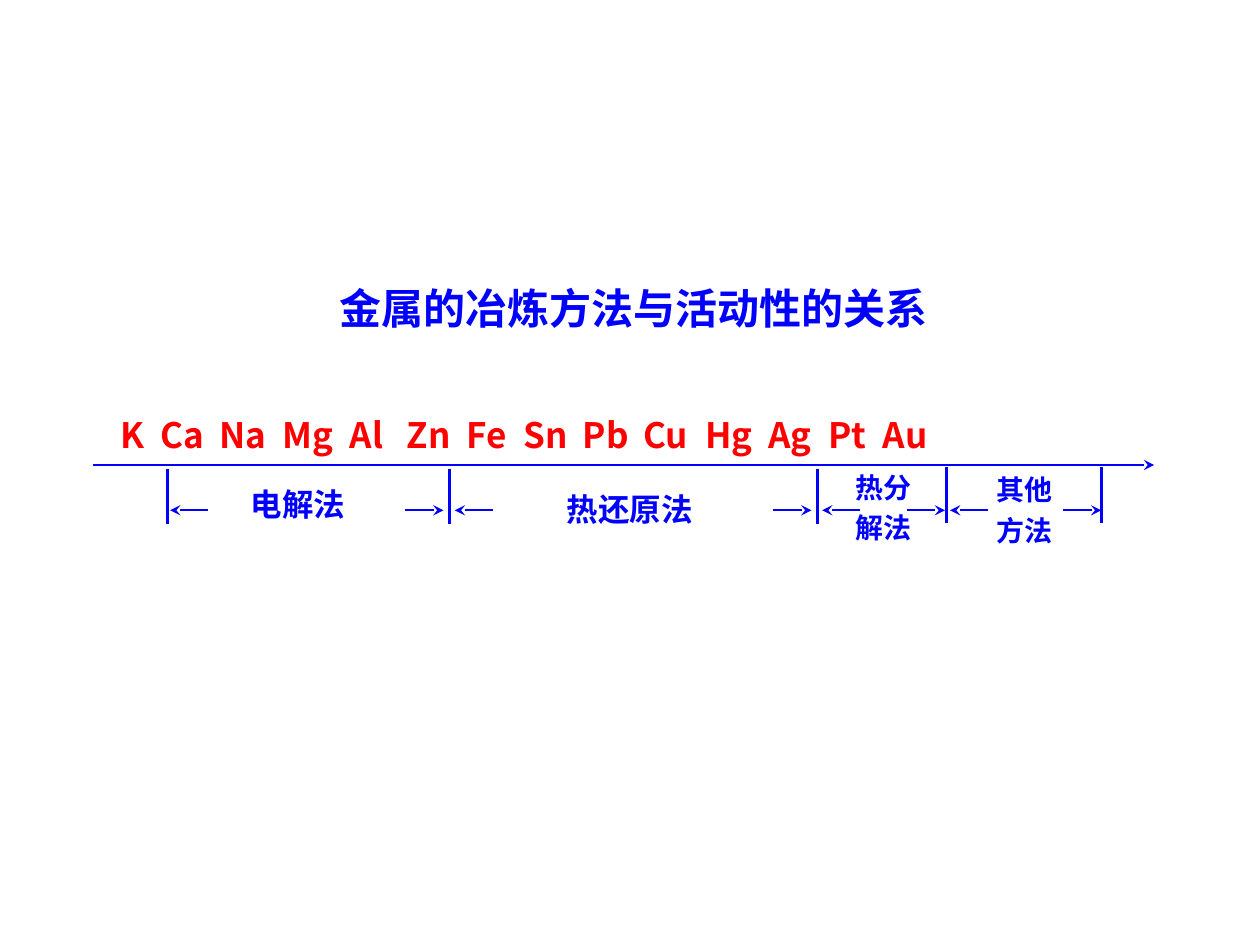
"""Build a slide relating metal smelting methods to the metal activity series."""
from lxml.etree import SubElement
from pptx import Presentation
from pptx.dml.color import RGBColor
from pptx.enum.shapes import MSO_CONNECTOR
from pptx.enum.text import MSO_ANCHOR, MSO_AUTO_SIZE, PP_ALIGN
from pptx.oxml.ns import qn
from pptx.util import Pt

BLUE = RGBColor(0x00, 0x00, 0xFF)
RED = RGBColor(0xFF, 0x00, 0x00)
FONT = "Noto Sans CJK SC"

TITLE = "金属的冶炼方法与活动性的关系"
METALS = ["K", "Ca", "Na", "Mg", "Al", "Zn", "Fe", "Sn", "Pb", "Cu", "Hg", "Ag", "Pt", "Au"]
METAL_STOPS = [23, 56.5, 92.5, 131, 163.5, 197.5, 230, 264, 298.5, 334, 370, 404.5, 435.5]
METHODS = [
    {"label": "电解法", "box": (136.1, 262.8, 94.3, 39.6), "size": 18, "spacing": 1.5, "tips": (97.2, 253.4)},
    {"label": "热还原法", "box": (316.8, 265.7, 121, 39.6), "size": 18, "spacing": 1.5, "tips": (259.9, 463.7)},
    {"label": "热分解法", "box": (481.7, 261.4, 53.3, 53.3), "size": 16, "spacing": 1.2, "tips": (469.8, 540)},
    {"label": "其他方法", "box": (562.3, 262.8, 53.3, 53.3), "size": 16, "spacing": 1.2, "tips": (542.9, 629.3)},
]
BOUNDARIES = [(95.8, 267.8), (257, 267.8), (467.3, 267.8), (540.7, 267.1), (629.3, 267.1)]
BOUNDARY_HEIGHT = 31.7
AXIS_Y, AXIS_LEFT, AXIS_RIGHT = 265.7, 53.3, 659.5
ARROW_Y, ARROW_LENGTH = 291.6, 21.8


def write(box, text, *, at, size, color=BLUE, spacing=1.5, align=PP_ALIGN.LEFT, stops=()):
    box.left, box.top, box.width, box.height = map(Pt, at)
    frame = box.text_frame
    frame.word_wrap = True
    frame.auto_size = MSO_AUTO_SIZE.SHAPE_TO_FIT_TEXT
    frame.vertical_anchor = MSO_ANCHOR.TOP
    paragraph = frame.paragraphs[0]
    paragraph.alignment = align
    paragraph.line_spacing = spacing
    paragraph.space_before = Pt(0)
    if stops:
        tabs = SubElement(paragraph._p.get_or_add_pPr(), qn("a:tabLst"))
        for stop in stops:
            SubElement(tabs, qn("a:tab"), pos=str(Pt(stop)), algn="l")
    run = paragraph.add_run()
    run.text = text
    run.font.size, run.font.bold, run.font.name = Pt(size), True, FONT
    run.font.color.rgb = color
    SubElement(run._r.get_or_add_rPr(), qn("a:ea"), typeface=FONT)


def draw_line(shapes, start, end, width=1.5, arrow=None):
    line = shapes.add_connector(MSO_CONNECTOR.STRAIGHT, *map(Pt, start + end))
    line.line.color.rgb = BLUE
    line.line.width = Pt(width)
    if arrow:
        SubElement(line.line._get_or_add_ln(), qn(f"a:{arrow}"), type="stealth")
    SubElement(line._element.spPr, qn("a:effectLst"))


def main():
    deck = Presentation()
    deck.slide_width, deck.slide_height = Pt(720), Pt(540)
    slide = deck.slides.add_slide(deck.slide_layouts[5])
    shapes = slide.shapes

    write(shapes.title, TITLE, at=(118.8, 143.3, 486.7, 50.4), size=24, align=PP_ALIGN.CENTER)
    draw_line(shapes, (AXIS_LEFT, AXIS_Y), (AXIS_RIGHT, AXIS_Y), arrow="tailEnd")
    metals_at = (61.9, 221, 618.5, 43.2)
    write(shapes.add_textbox(*map(Pt, metals_at)), "\t".join(METALS), at=metals_at,
          size=20, color=RED, stops=METAL_STOPS)

    for x, top in BOUNDARIES:
        draw_line(shapes, (x, top), (x, top + BOUNDARY_HEIGHT))

    for method in METHODS:
        left, right = method["tips"]
        draw_line(shapes, (left, ARROW_Y), (left + ARROW_LENGTH, ARROW_Y), 1.25, "headEnd")
        draw_line(shapes, (right - ARROW_LENGTH, ARROW_Y), (right, ARROW_Y), 1.25, "tailEnd")
        write(shapes.add_textbox(*map(Pt, method["box"])), method["label"], at=method["box"],
              size=method["size"], spacing=method["spacing"])

    deck.save("out.pptx")


if __name__ == "__main__":
    main()
